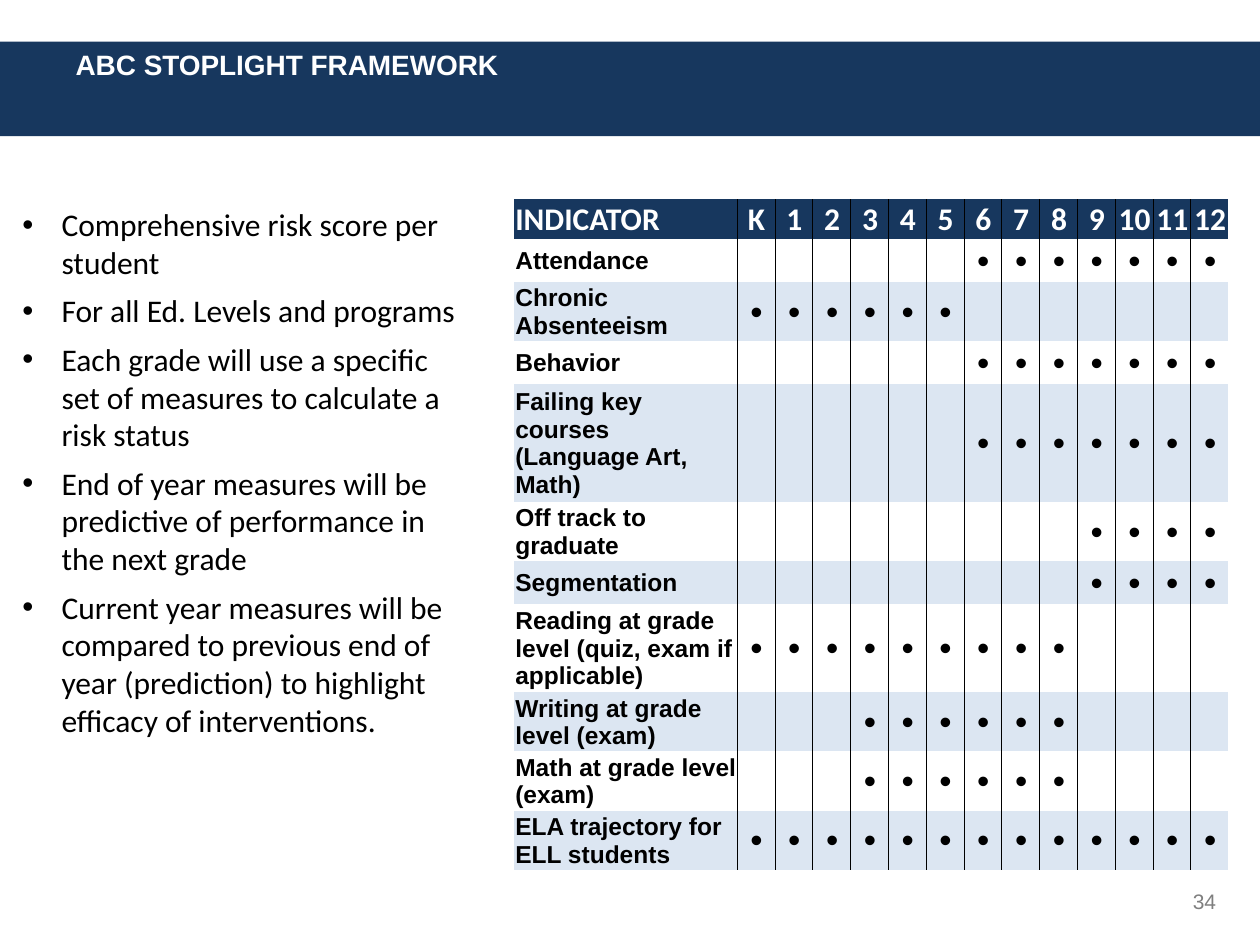
import dataclasses

import pptx
import pptx.dml.color
import pptx.enum.shapes
import pptx.enum.text
import pptx.oxml
import pptx.oxml.ns
import pptx.util

Inches = pptx.util.Inches
Pt = pptx.util.Pt
ALIGN = pptx.enum.text.PP_ALIGN
ANCHOR = pptx.enum.text.MSO_ANCHOR


@dataclasses.dataclass(frozen=True)
class Theme:
    navy: str = "17375E"
    stripe: str = "DCE6F2"
    white: str = "FFFFFF"
    black: str = "000000"
    grey: str = "7F7F7F"
    heading_font: str = "Arial"
    body_font: str = "Calibri"
    title_size: int = 16
    body_size: int = 18
    label_size: int = 14
    mark_size: int = 20
    number_size: int = 12
    rule_width: float = 0.25
    # Table style without fills or grid
    plain_table: str = "{2D5ABB26-0587-4C30-8999-92F81FD0307C}"


THEME = Theme()

POINTS = [
    "Comprehensive risk score per student",
    "For all Ed. Levels and programs",
    "Each grade will use a specific set of measures to calculate a risk status",
    "End of year measures will be predictive of performance in the next grade",
    "Current year measures will be compared to previous end of year (prediction) "
    "to highlight efficacy of interventions.",
]
GRADES = ["K"] + [str(grade) for grade in range(1, 13)]
# Indicator, first grade, last grade, row height in inches
INDICATORS = [
    ("Attendance", "6", "12", 0.34),
    ("Chronic Absenteeism", "K", "5", 0.47),
    ("Behavior", "6", "12", 0.34),
    ("Failing key courses (Language Art, Math)", "6", "12", 0.94),
    ("Off track to graduate", "9", "12", 0.47),
    ("Segmentation", "9", "12", 0.34),
    ("Reading at grade level (quiz, exam if applicable)", "K", "8", 0.7),
    ("Writing at grade level (exam)", "3", "8", 0.47),
    ("Math at grade level (exam)", "3", "8", 0.47),
    ("ELA trajectory for ELL students", "K", "12", 0.47),
]
HEADER_HEIGHT = 0.31
LABEL_WIDTH = 1.77


def rgb(color):
    return pptx.dml.color.RGBColor.from_string(color)


def style(paragraph, font, size, color, bold=False, align=ALIGN.LEFT):
    paragraph.alignment = align
    for run in paragraph.runs:
        run.font.name = font
        run.font.size = Pt(size)
        run.font.bold = bold
        run.font.color.rgb = rgb(color)


def place(shape, box):
    shape.left, shape.top, shape.width, shape.height = map(Inches, box)


def add_title(slide, band_box, title_box):
    band = slide.shapes.add_shape(
        pptx.enum.shapes.MSO_SHAPE.RECTANGLE, *map(Inches, band_box))
    band.shadow.inherit = False
    band.fill.solid()
    band.fill.fore_color.rgb = rgb(THEME.navy)
    band.line.fill.background()
    # The band lies behind the title
    slide.shapes.title.element.addprevious(band.element)

    title = slide.shapes.title
    place(title, title_box)
    title.text_frame.text = "ABC STOPLIGHT FRAMEWORK"
    title.text_frame.vertical_anchor = ANCHOR.TOP
    title.text_frame.auto_size = pptx.enum.text.MSO_AUTO_SIZE.NONE
    style(title.text_frame.paragraphs[0], THEME.heading_font, THEME.title_size,
          THEME.white, bold=True)


def add_points(slide, box):
    frame = slide.shapes.add_textbox(*map(Inches, box)).text_frame
    frame.word_wrap = True
    frame.text = "\n".join(POINTS)
    for index, point in enumerate(frame.paragraphs):
        style(point, THEME.body_font, THEME.body_size, THEME.black)
        point.space_before = Pt(6 if index else 0)
        # Hanging bullet
        properties = point._p.get_or_add_pPr()
        properties.set("marL", str(Inches(0.31)))
        properties.set("indent", str(-Inches(0.31)))
        for tag, key, value in (("a:buFont", "typeface", "Arial"),
                                ("a:buChar", "char", "•")):
            bullet = pptx.oxml.parse_xml(
                f'<{tag} {pptx.oxml.ns.nsdecls("a")} {key}="{value}"/>')
            properties.append(bullet)


def rule_side(cell, side):
    border = pptx.oxml.parse_xml(
        f'<a:{side} {pptx.oxml.ns.nsdecls("a")} w="{Pt(THEME.rule_width)}">'
        f'<a:solidFill><a:srgbClr val="{THEME.black}"/></a:solidFill></a:{side}>')
    # Borders come before the fill
    fill = cell._tc.get_or_add_tcPr()[-1]
    fill.addprevious(border)


def format_cell(cell, fill, anchor):
    cell.margin_left = cell.margin_top = Inches(0.01)
    cell.margin_right = cell.margin_bottom = 0
    cell.vertical_anchor = anchor
    if fill:
        cell.fill.solid()
        cell.fill.fore_color.rgb = rgb(fill)
    else:
        cell.fill.background()


def add_indicator_table(slide, box):
    row_count, column_count = len(INDICATORS) + 1, len(GRADES) + 1
    table = slide.shapes.add_table(
        row_count, column_count, *map(Inches, box)).table
    table.horz_banding = False
    table._tbl.tblPr.find(
        pptx.oxml.ns.qn("a:tableStyleId")).text = THEME.plain_table
    grade_width = (box[2] - LABEL_WIDTH) / len(GRADES)
    for index, column in enumerate(table.columns):
        column.width = Inches(grade_width if index else LABEL_WIDTH)
    heights = [HEADER_HEIGHT] + [indicator[3] for indicator in INDICATORS]
    for row, height in zip(table.rows, heights):
        row.height = Inches(height)

    # Fills and vertical rules
    for row in range(row_count):
        fill = THEME.navy if row == 0 else None if row % 2 else THEME.stripe
        for column in range(column_count):
            cell = table.cell(row, column)
            format_cell(cell, fill, ANCHOR.MIDDLE if row else ANCHOR.BOTTOM)
            if column > 0:
                rule_side(cell, "lnL")
            if column < column_count - 1:
                rule_side(cell, "lnR")

    # Header row
    for column, heading in enumerate(["INDICATOR"] + GRADES):
        cell = table.cell(0, column)
        cell.text_frame.text = heading
        style(cell.text_frame.paragraphs[0], THEME.body_font, THEME.body_size,
              THEME.white, True, ALIGN.CENTER if column else ALIGN.LEFT)

    # Indicator names and a mark for each grade in range
    for row, (indicator, first, last, _) in enumerate(INDICATORS, 1):
        marked = range(GRADES.index(first) + 1, GRADES.index(last) + 2)
        for column in (0, *marked):
            frame = table.cell(row, column).text_frame
            frame.text = "•" if column else indicator
            entry = frame.paragraphs[0]
            entry.space_before = entry.space_after = Pt(3)
            style(entry, THEME.heading_font,
                  THEME.mark_size if column else THEME.label_size, THEME.black,
                  column == 0, ALIGN.CENTER if column else ALIGN.LEFT)


def add_page_number(slide, box):
    frame = slide.shapes.add_textbox(*map(Inches, box)).text_frame
    frame.word_wrap = True
    frame.text = "34"
    style(frame.paragraphs[0], THEME.heading_font, THEME.number_size, THEME.grey,
          align=ALIGN.RIGHT)


def main():
    deck = pptx.Presentation()
    deck.slide_width, deck.slide_height = Inches(10), Inches(7.5)
    slide = deck.slides.add_slide(deck.slide_layouts[5])
    add_title(slide, (0, 0.33, 10, 0.75), (0.5, 0.33, 7.67, 0.87))
    add_indicator_table(slide, (4.08, 1.58, 5.67, 5.33))
    add_page_number(slide, (8.83, 7, 0.92, 0.3))
    add_points(slide, (0.08, 1.58, 3.75, 4.68))
    deck.save("out.pptx")


if __name__ == "__main__":
    main()
